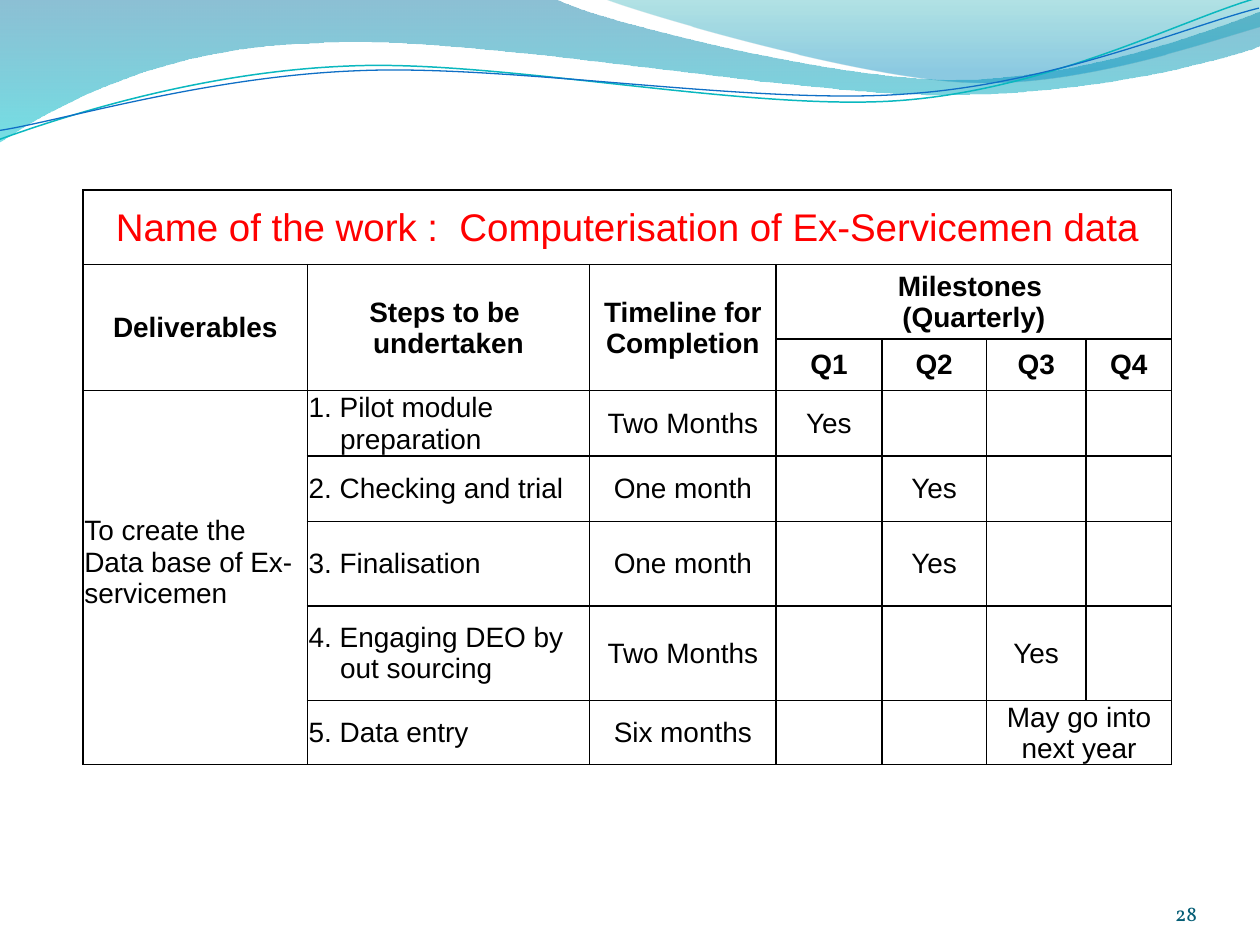
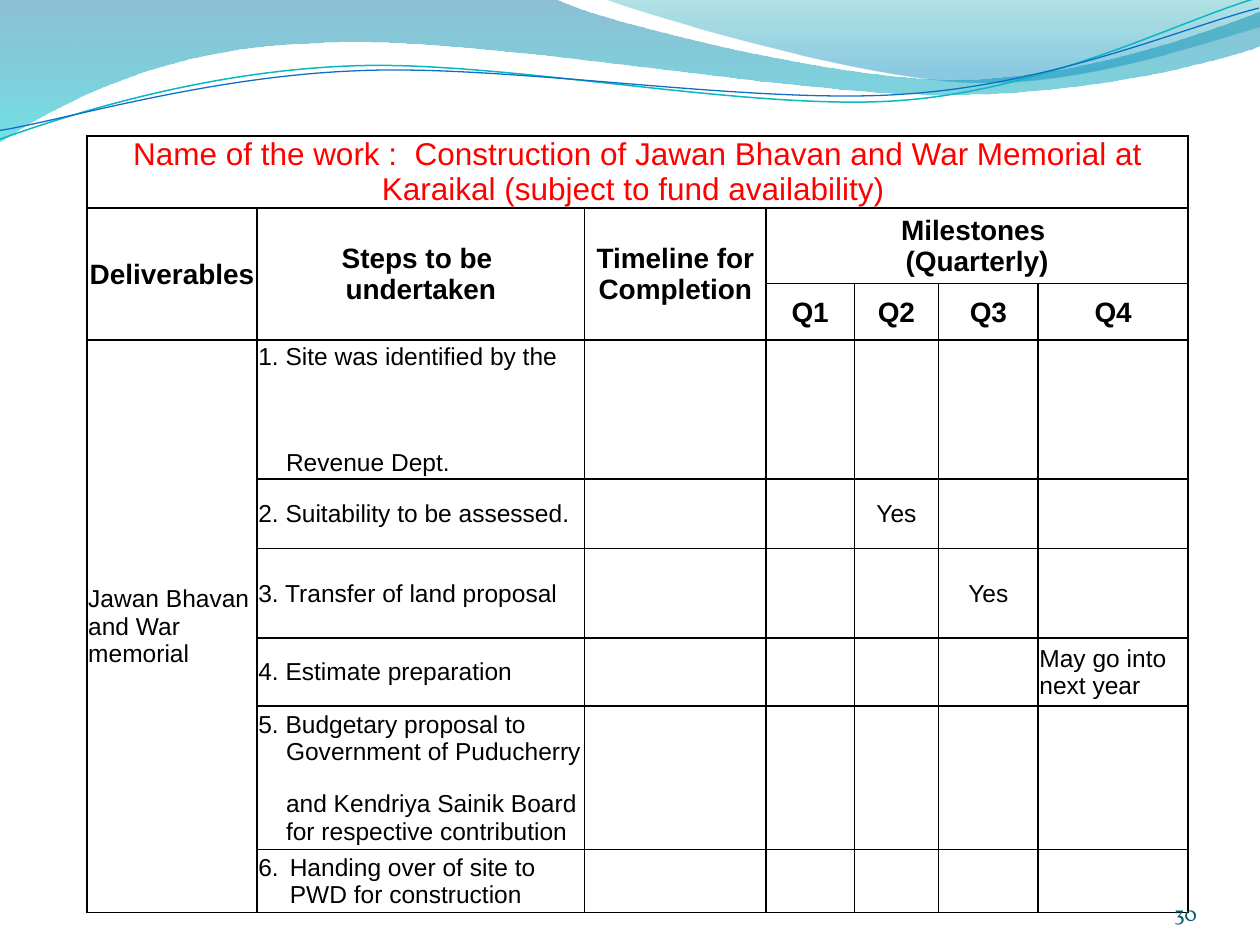
from lxml import etree
from pptx import Presentation
from pptx.dml.color import RGBColor
from pptx.enum.text import MSO_ANCHOR, PP_ALIGN
from pptx.oxml.ns import qn
from pptx.util import Pt

PX = 9144
FONT = "Arial"
NUM_FONT = "Vollkorn"
LEFT, MID, RIGHT = PP_ALIGN.LEFT, PP_ALIGN.CENTER, PP_ALIGN.RIGHT
CENTER, BOTTOM = MSO_ANCHOR.MIDDLE, MSO_ANCHOR.BOTTOM
BLACK = RGBColor(0x00, 0x00, 0x00)
RED = RGBColor(0xFF, 0x00, 0x00)
NAVY = RGBColor(0x04, 0x5D, 0x75)
DEEP = RGBColor(0x00, 0x74, 0xA1)
AQUA = RGBColor(0x00, 0xC6, 0xCF)
TEAL = RGBColor(0x00, 0xA1, 0xA9)
SKY = RGBColor(0x00, 0x8B, 0xBF)
CYAN = RGBColor(0x0A, 0xB8, 0xBF)
BLUE = RGBColor(0x0F, 0x6F, 0xC6)

BAND = [(0, 0), (440, -1), (476, 17, 664, 63, 758, 63),
        (853, 63, 958, 26, 1000, 9), (1001, 36),
        (983, 44, 870, 76, 746, 75), (622, 75, 382, 28, 257, 34),
        (129, 36, 46, 83, -1, 113), (0, 0)]
CREST = [(479, -1), (509, 11, 682, 62, 769, 65),
         (856, 69, 961, 32, 1000, 21), (1000, 0), (479, -1)]
CURVES = [
    ([(-2, 87), (47, 72, 158, 41, 277, 42), (396, 42, 591, 93, 712, 90),
      (832, 87, 940, 36, 1000, 22)], CYAN, 0.85),
    ([(-2, 80), (46, 75, 164, 45, 283, 46), (403, 46, 596, 88, 716, 85),
      (835, 83, 942, 42, 1001, 30)], BLUE, 0.75),
]

HEAD = ["Deliverables", "Steps to be \nundertaken",
        "Timeline for Completion", "Milestones \n(Quarterly)"]
QUARTERS = ["", "", "", "Q1", "Q2", "Q3", "Q4"]
DATA = [
    ["Name of the work :  Computerisation of Ex-Servicemen data"],
    HEAD,
    QUARTERS,
    ["To create the Data base of Ex-servicemen",
     "1. Pilot module\npreparation", "Two Months", "Yes"],
    ["", "2. Checking and trial", "One month", "", "Yes"],
    ["", "3. Finalisation", "One month", "", "Yes"],
    ["", "4. Engaging DEO by\nout sourcing", "Two Months", "", "", "Yes"],
    ["", "5. Data entry", "Six months", "", "", "May go into next year"],
]
BUILD = [
    ["Name of the work :  Construction of Jawan Bhavan and War Memorial at "
     "Karaikal (subject to fund availability) "],
    HEAD,
    QUARTERS,
    ["Jawan Bhavan and War memorial",
     "1. Site was identified by the\nRevenue Dept."],
    ["", "2. Suitability to be assessed.", "", "", "Yes"],
    ["", "3. Transfer of land proposal", "", "", "", "Yes"],
    ["", "4. Estimate preparation", "", "", "", "", "May go into next year"],
    ["", "5. Budgetary proposal to\nGovernment of Puducherry\n"
     "and Kendriya Sainik Board\nfor respective contribution"],
    ["", "Handing over of site to PWD for construction"],
]


def style(para, size, color, align, bold=False, font=FONT):
    """Align a paragraph and format its runs."""
    para.alignment = align
    for run in para.runs:
        run.font.name = font
        run.font.size = Pt(size)
        run.font.bold = bold
        run.font.color.rgb = color


def outline(slide, parts, close):
    """Add a freeform of straight and Bezier parts, without shadow."""
    points = [(x * PX, y * PX) for part in parts
              for x, y in zip(part[::2], part[1::2])]
    form = slide.shapes.build_freeform(*points[0])
    form.add_line_segments(points[1:], close=close)
    shape = form.convert_to_shape()
    shape.shadow.inherit = False
    lines = list(shape._element.iter(qn("a:lnTo")))
    for part in parts[1:]:
        count = len(part) // 2
        group, lines = lines[:count], lines[count:]
        if count == 3:
            bend = etree.Element(qn("a:cubicBezTo"))
            group[0].addprevious(bend)
            for line in group:
                bend.append(line[0])
                line.getparent().remove(line)
    return shape


def wave(slide, parts, stops):
    """Add a wave filled with a see-through vertical gradient."""
    shape = outline(slide, parts, True)
    shape.line.fill.background()
    shape.fill.gradient()
    shape.fill.gradient_angle = 270
    for stop, (place, color, _) in zip(shape.fill.gradient_stops, stops):
        stop.position = place
        stop.color.rgb = color
    tints = shape._element.spPr.iter(qn("a:srgbClr"))
    for tint, (_, _, alpha) in zip(tints, stops):
        etree.SubElement(tint, qn("a:alpha"), val=str(alpha * 1000))


def curve(slide, parts, color, width):
    """Add an open curved line, slightly turned."""
    shape = outline(slide, parts, False)
    shape.rotation = 357.3
    shape.fill.background()
    shape.line.color.rgb = color
    shape.line.width = Pt(width)


def banner(slide):
    """Draw the shared waves and move them to the slide's layout."""
    wave(slide, BAND, [(0, DEEP, 45), (1, AQUA, 55)])
    wave(slide, CREST, [(0, TEAL, 30), (0.8, SKY, 45)])
    for parts, color, width in CURVES:
        curve(slide, parts, color, width)
    tree = slide.slide_layout.shapes._spTree
    for shape in list(slide.shapes):
        tree.insert_element_before(shape._element, "p:extLst")


def footer(slide, number):
    """Add the page number."""
    box = slide.shapes.add_textbox(867 * PX, 695 * PX, 83 * PX, 40 * PX)
    frame = box.text_frame
    frame.word_wrap = True
    frame.vertical_anchor = BOTTOM
    frame.margin_left = frame.margin_right = 0
    frame.margin_top = frame.margin_bottom = 0
    frame.text = str(number)
    style(frame.paragraphs[0], 12, NAVY, RIGHT, font=NUM_FONT)


def edge(cell):
    """Give a cell thin black borders, no fill and tight margins."""
    props = cell._tc.get_or_add_tcPr()
    for side in ("lnL", "lnR", "lnT", "lnB"):
        line = etree.SubElement(props, qn("a:" + side), w=str(Pt(1)))
        fill = etree.SubElement(line, qn("a:solidFill"))
        etree.SubElement(fill, qn("a:srgbClr"), val=str(BLACK))
    cell.fill.background()
    cell.vertical_anchor = CENTER
    cell.margin_left = cell.margin_right = cell.margin_top = PX
    cell.margin_bottom = 0


def indent(para, left, first=0):
    """Set the left margin and first-line indent of a paragraph."""
    props = para._p.get_or_add_pPr()
    props.set("marL", str(left * PX))
    props.set("indent", str(first * PX))
    return props


def number(para, start):
    """Number a paragraph automatically."""
    props = indent(para, 25, -25)
    etree.SubElement(props, qn("a:buAutoNum"),
                     type="arabicPeriod", startAt=str(start))


def plan(slide, left, top, cols, rows, texts, sizes, flush, spans=()):
    """Add a work plan table with its title, header and body rows."""
    table = slide.shapes.add_table(len(rows), len(cols), left * PX, top * PX,
                                   sum(cols) * PX, sum(rows) * PX).table
    table.first_row = table.horz_banding = False
    for col, width in zip(table.columns, cols):
        col.width = width * PX
    for row, height in zip(table.rows, rows):
        row.height = height * PX
    for cell in table.iter_cells():
        edge(cell)
    heads = [(1, col, 2, col) for col in range(3)]
    common = [(0, 0, 0, 6), (1, 3, 1, 6), (3, 0, len(rows) - 1, 0)]
    for y, x, end_y, end_x in [*heads, *common, *spans]:
        table.cell(y, x).merge(table.cell(end_y, end_x))
    title, body = sizes
    for y, line in enumerate(texts):
        for x, text in enumerate(line):
            if not text:
                continue
            frame = table.cell(y, x).text_frame
            frame.text = text
            for spot, para in enumerate(frame.paragraphs):
                if y == 0:
                    style(para, title, RED, MID)
                elif y < 3:
                    style(para, 16, BLACK, MID, bold=True)
                else:
                    style(para, body, BLACK, LEFT if x in flush else MID)
                    if spot:
                        indent(para, round(body * 1.54))
    return table


def main():
    """Build both slides and save them."""
    deck = Presentation()
    deck.slide_width, deck.slide_height = 1000 * PX, 750 * PX
    blank = deck.slide_layouts[6]

    slide = deck.slides.add_slide(blank)
    banner(slide)
    table = plan(slide, 66, 151, [178, 224, 148, 84, 83, 79, 68],
                 [59, 59, 41, 52, 52, 67, 75, 51], DATA, (22, 16), (0, 1),
                 [(7, 5, 7, 6)])
    table.cell(3, 0).margin_bottom = 25 * PX
    footer(slide, 28)

    slide = deck.slides.add_slide(blank)
    table = plan(slide, 69, 108, [135, 260, 144, 70, 67, 79, 119],
                 [57, 60, 45, 110, 55, 71, 54, 114, 50], BUILD, (18, 14),
                 (0, 1, 6))
    table.cell(0, 0).text_frame.paragraphs[0].line_spacing = Pt(20)
    table.cell(3, 1).text_frame.paragraphs[1].space_before = Pt(45)
    table.cell(7, 1).text_frame.paragraphs[2].space_before = Pt(14)
    number(table.cell(8, 1).text_frame.paragraphs[0], 6)
    footer(slide, 30)

    deck.save("out.pptx")


if __name__ == "__main__":
    main()
